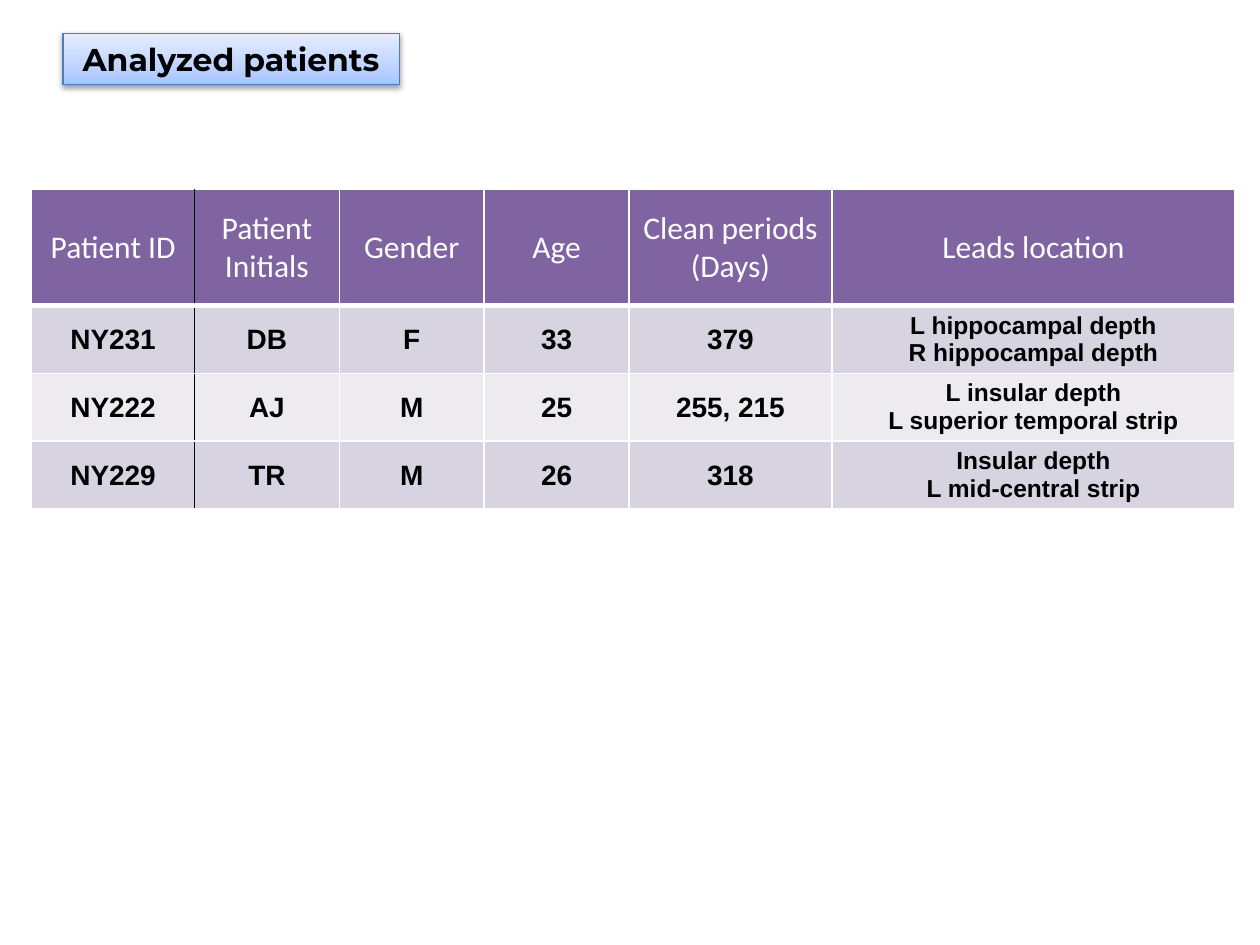
from lxml.etree import SubElement
from pptx import Presentation
from pptx.dml.color import RGBColor
from pptx.enum.shapes import MSO_SHAPE as Shape
from pptx.enum.text import MSO_ANCHOR as Anchor, MSO_AUTO_SIZE as AutoSize, PP_ALIGN as Align
from pptx.oxml.ns import qn
from pptx.util import Cm, Pt

WHITE = RGBColor(0xFF, 0xFF, 0xFF)
BLACK = RGBColor(0x00, 0x00, 0x00)
PURPLE = RGBColor(0x80, 0x64, 0xA2)
LILAC = RGBColor(0xD8, 0xD3, 0xE0)
PALE_LILAC = RGBColor(0xED, 0xEA, 0xF0)
BLUE = RGBColor(0x4B, 0x7E, 0xBC)
TITLE_GRADIENT = [
    (0, RGBColor(0xA4, 0xC4, 0xFF)),
    (35, RGBColor(0xBF, 0xD4, 0xFF)),
    (100, RGBColor(0xE6, 0xEE, 0xFF)),
]

COLUMN_WIDTHS = [3.28, 2.92, 2.92, 2.92, 4.09, 8.13]
HEADER_HEIGHT, PATIENT_HEIGHT = 2.34, 1.35
HEADINGS = ["Patient ID", "Patient Initials", "Gender", "Age",
            "Clean periods\n(Days)", "Leads location"]
PATIENTS = [
    ["NY231", "DB", "F", "33", "379", "L hippocampal depth\nR hippocampal depth"],
    ["NY222", "AJ", "M", "25", "255, 215", "L insular depth\nL superior temporal strip"],
    ["NY229", "TR", "M", "26", "318", "Insular depth\nL mid-central strip"],
]


def add_color(parent, color):
    return SubElement(parent, qn("a:srgbClr"), val=str(color))


class PatientSlide:
    def __init__(self, slide):
        self.slide = slide

    def style_text(self, frame, font_name, size, color, bold):
        for paragraph in frame.paragraphs:
            paragraph.alignment = Align.CENTER
            font = paragraph.font
            font.name, font.size, font.bold = font_name, Pt(size), bold
            font.color.rgb = color

    def title(self, text, left, top, width, height):
        box = self.slide.shapes.add_shape(
            Shape.RECTANGLE, Cm(left), Cm(top), Cm(width), Cm(height))
        box.line.color.rgb = BLUE
        box.line.width = Pt(0.75)
        box.fill.gradient()
        box.fill.gradient_angle = 90
        properties = box._element.spPr
        stops = properties.find(".//" + qn("a:gsLst"))
        stops.clear()
        for percent, color in TITLE_GRADIENT:
            add_color(SubElement(stops, qn("a:gs"), pos=str(percent * 1000)), color)

        box.shadow.inherit = False
        shadow = SubElement(properties.find(qn("a:effectLst")), qn("a:outerShdw"),
                            blurRad="40000", dist="20000", dir="5400000", rotWithShape="0")
        SubElement(add_color(shadow, BLACK), qn("a:alpha"), val="38000")

        frame = box.text_frame
        frame.text = text
        frame.word_wrap = False
        frame.auto_size = AutoSize.SHAPE_TO_FIT_TEXT
        self.style_text(frame, "Montserrat", 18, BLACK, True)

    def borders(self, cell, row, column):
        """Rule the cell in white, with black between the first two columns."""
        sides = {
            "L": (BLACK if column == 1 else WHITE, 1),
            "R": (BLACK if column == 0 else WHITE, 1),
            "T": (WHITE, 3 if row == 1 else 1),
            "B": (WHITE, 3 if row == 0 else 1),
        }
        properties = cell._tc.get_or_add_tcPr()
        for side, (color, width) in sides.items():
            line = SubElement(properties, qn("a:ln" + side), w=str(Pt(width)))
            add_color(SubElement(line, qn("a:solidFill")), color)

    def cell(self, cell, row, column, text):
        is_header, is_leads = row == 0, column == len(HEADINGS) - 1
        cell.text = text
        cell.vertical_anchor = Anchor.MIDDLE
        self.borders(cell, row, column)
        cell.fill.solid()
        if is_header:
            cell.fill.fore_color.rgb = PURPLE
            self.style_text(cell.text_frame, "Calibri", 18, WHITE, False)
            return
        cell.fill.fore_color.rgb = LILAC if row % 2 else PALE_LILAC
        self.style_text(cell.text_frame, "Arial", 14 if is_leads else 16, BLACK, True)
        if not is_leads:
            cell.margin_left = cell.margin_right = cell.margin_top = Cm(0.03)
            cell.margin_bottom = 0

    def table(self, rows, left, top):
        heights = [HEADER_HEIGHT] + [PATIENT_HEIGHT] * (len(rows) - 1)
        table = self.slide.shapes.add_table(
            len(rows), len(COLUMN_WIDTHS), Cm(left), Cm(top),
            Cm(sum(COLUMN_WIDTHS)), Cm(sum(heights))).table
        for column, width in zip(table.columns, COLUMN_WIDTHS):
            column.width = Cm(width)
        for r, (height, texts) in enumerate(zip(heights, rows)):
            table.rows[r].height = Cm(height)
            for c, text in enumerate(texts):
                self.cell(table.cell(r, c), r, c, text)


def main():
    deck = Presentation()
    deck.slide_width, deck.slide_height = Cm(25.4), Cm(19.05)
    page = PatientSlide(deck.slides.add_slide(deck.slide_layouts[6]))
    page.table([HEADINGS] + PATIENTS, 0.64, 3.82)
    page.title("Analyzed patients", 1.27, 0.67, 6.78, 1.03)
    deck.save("out.pptx")


if __name__ == "__main__":
    main()
